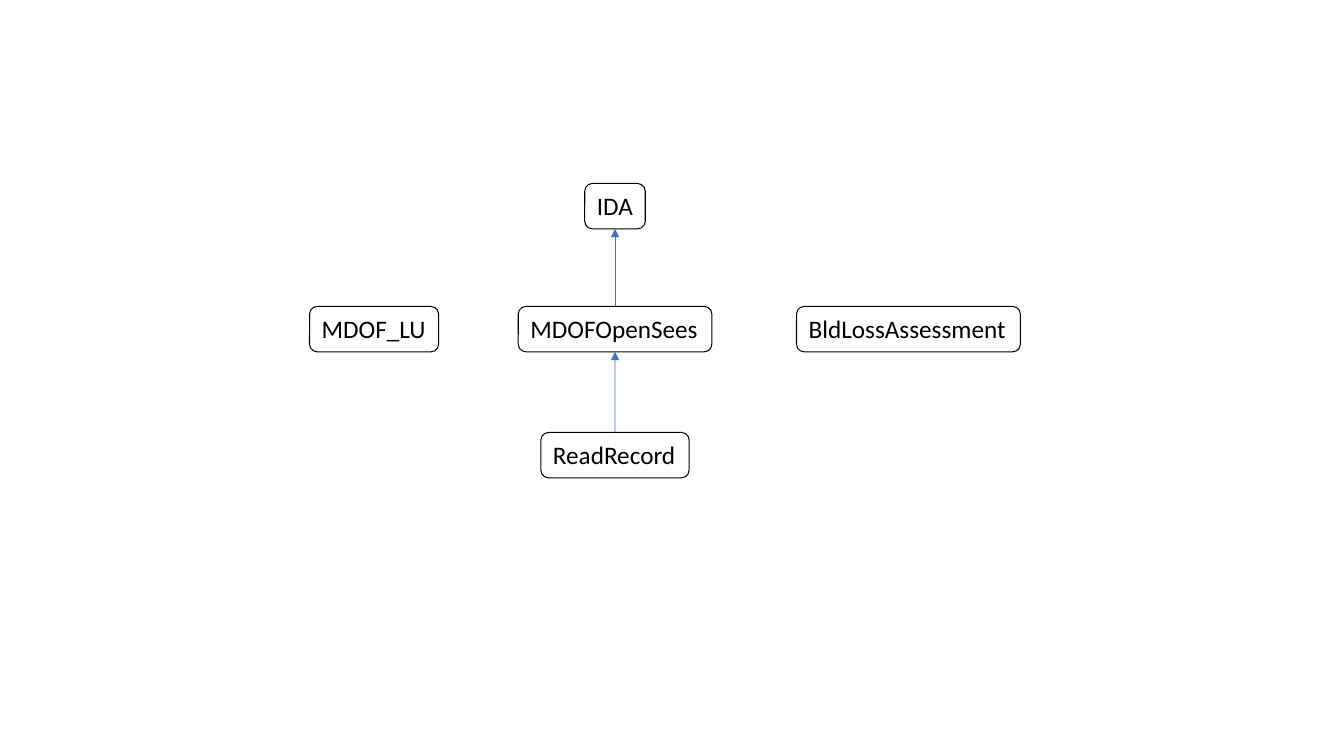
from pptx import Presentation
from pptx.dml.color import RGBColor
from pptx.enum.shapes import MSO_CONNECTOR, MSO_SHAPE
from pptx.enum.text import MSO_ANCHOR, MSO_AUTO_SIZE, PP_ALIGN
from pptx.oxml.ns import qn
from pptx.util import Inches, Pt
from lxml.etree import SubElement

BLACK = RGBColor(0x00, 0x00, 0x00)
BLUE = RGBColor(0x44, 0x72, 0xC4)
NODE_HEIGHT = 0.45
TOP_SITE, BOTTOM_SITE = 0, 2  # connection sites of a rounded rectangle


def add_module(slide, name, center_x, top, width):
    """Outlined rounded box holding a module name."""
    shape = slide.shapes.add_shape(
        MSO_SHAPE.ROUNDED_RECTANGLE, Inches(center_x - width / 2), Inches(top),
        Inches(width), Inches(NODE_HEIGHT))
    shape.shadow.inherit = False
    shape.fill.background()
    shape.line.color.rgb = BLACK
    shape.line.width = Pt(0.75)
    frame = shape.text_frame
    frame.word_wrap = False
    frame.auto_size = MSO_AUTO_SIZE.SHAPE_TO_FIT_TEXT
    frame.vertical_anchor = MSO_ANCHOR.TOP
    paragraph = frame.paragraphs[0]
    paragraph.text = name
    paragraph.alignment = PP_ALIGN.LEFT
    paragraph.font.name = "Calibri"
    paragraph.font.size = Pt(18)
    paragraph.font.color.rgb = BLACK
    return shape


def add_arrow(slide, lower, upper):
    """Arrow from the top of one module up to the bottom of the next."""
    arrow = slide.shapes.add_connector(MSO_CONNECTOR.STRAIGHT, 0, 0, 0, 0)
    arrow.begin_connect(lower, TOP_SITE)
    arrow.end_connect(upper, BOTTOM_SITE)
    arrow.line.color.rgb = BLUE
    arrow.line.width = Pt(0.5)
    SubElement(arrow.line._get_or_add_ln(), qn("a:tailEnd"), type="triangle")
    SubElement(arrow._element.spPr, qn("a:effectLst"))


def add_module_diagram(slide, left, top, width, height):
    """Chain of modules, with a standalone module on either side."""
    chain_x = left + 3.03
    middle_top = top + 1.22

    # Chain, from bottom to top
    read_record = add_module(slide, "ReadRecord", chain_x,
                             top + height - NODE_HEIGHT, 1.47)
    open_sees = add_module(slide, "MDOFOpenSees", chain_x, middle_top, 1.92)
    ida = add_module(slide, "IDA", chain_x, top, 0.6)
    add_arrow(slide, read_record, open_sees)
    add_arrow(slide, open_sees, ida)

    # Standalone modules at the left and right edges
    lu_width, loss_width = 1.28, 2.22
    add_module(slide, "MDOF_LU", left + lu_width / 2, middle_top, lu_width)
    add_module(slide, "BldLossAssessment", left + width - loss_width / 2,
               middle_top, loss_width)


presentation = Presentation()
presentation.slide_width = Inches(13.33)
presentation.slide_height = Inches(7.5)
blank_slide = presentation.slides.add_slide(presentation.slide_layouts[6])
add_module_diagram(blank_slide, 3.07, 1.82, 7.05, 2.92)
presentation.save("out.pptx")
